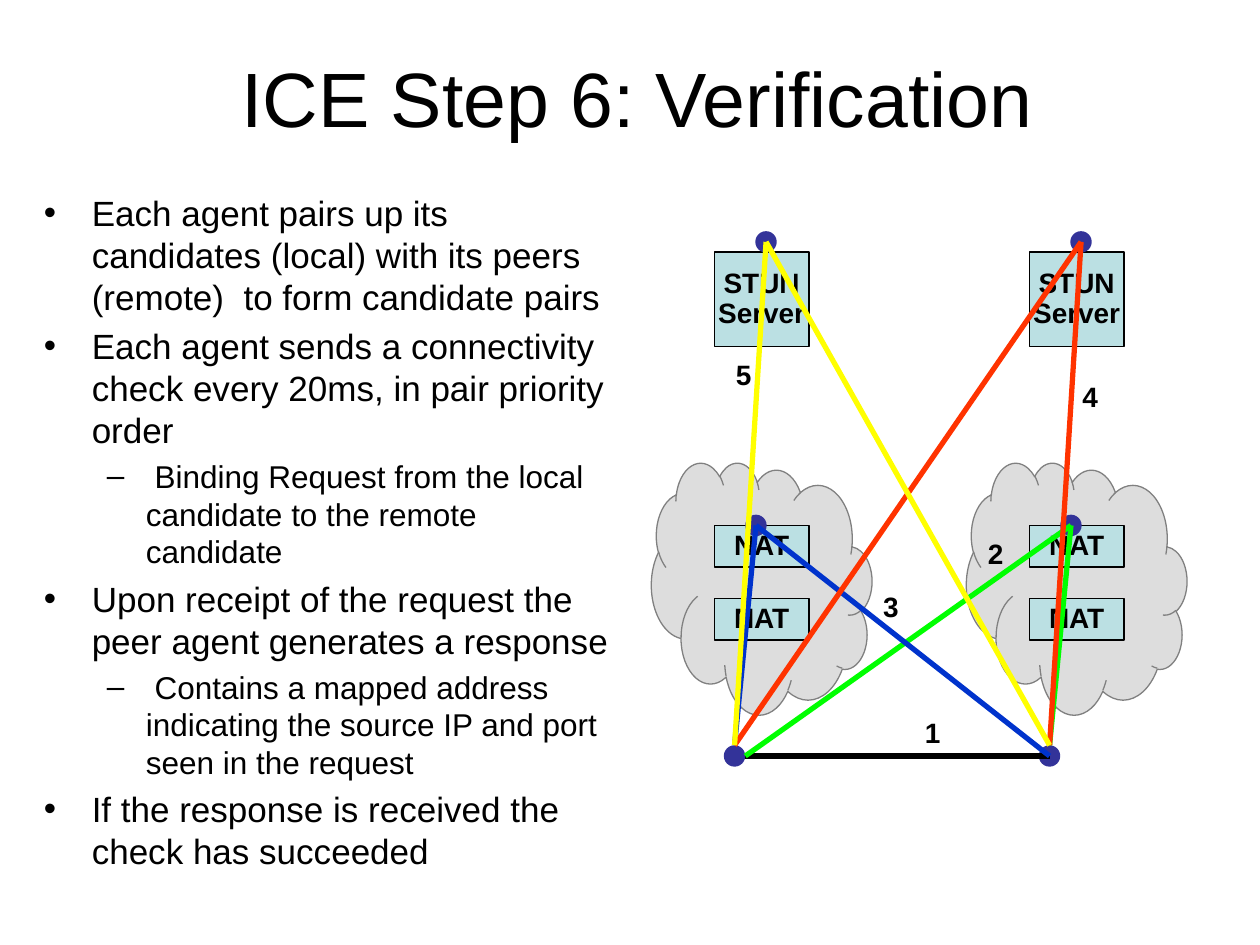
from dataclasses import dataclass

from lxml import etree
from pptx import Presentation
from pptx.dml.color import RGBColor
from pptx.enum.shapes import MSO_CONNECTOR, MSO_SHAPE
from pptx.enum.text import MSO_ANCHOR, MSO_AUTO_SIZE, PP_ALIGN
from pptx.oxml.ns import qn
from pptx.util import Inches, Pt

RECT, OVAL, CLOUD = MSO_SHAPE.RECTANGLE, MSO_SHAPE.OVAL, MSO_SHAPE.CLOUD
STRAIGHT = MSO_CONNECTOR.STRAIGHT
LEFT, CENTER = PP_ALIGN.LEFT, PP_ALIGN.CENTER
TOP, MIDDLE = MSO_ANCHOR.TOP, MSO_ANCHOR.MIDDLE
GROW = MSO_AUTO_SIZE.SHAPE_TO_FIT_TEXT
TITLE_ONLY = 5


@dataclass(frozen=True)
class Theme:
    """Colours, fonts and sizes of the slide."""
    font: str = "Arial"
    text: str = "000000"
    box: str = "BBE0E3"
    cloud: str = "DDDDDD"
    cloud_line: str = "808080"
    port: str = "333399"
    direct: str = "000000"
    left_nat: str = "0033CC"
    right_nat: str = "00FF00"
    left_relay: str = "FFFF00"
    right_relay: str = "FF3300"
    title_size: int = 44
    body_sizes: tuple = (20, 18)
    label_size: int = 16
    outline: float = 0.75
    path_width: int = 3


THEME = Theme()

TITLE = "ICE Step 6: Verification"
POINTS = [
    (0, "Each agent pairs up its candidates (local) with its peers (remote)  to form candidate pairs"),
    (0, "Each agent sends a connectivity check every 20ms, in pair priority order"),
    (1, " Binding Request from the local candidate to the remote candidate"),
    (0, "Upon receipt of the request the peer agent generates a response"),
    (1, " Contains a mapped address indicating the source IP and port seen in the request"),
    (0, "If the response is received the check has succeeded"),
]
BULLETS = (("•", 0.38, -0.38), ("–", 0.81, -0.31))
BOXES = ((0.17, 0.75, ("STUN", "Server")), (2.34, 0.33, ("NAT",)), (2.92, 0.33, ("NAT",)))
PORTS = {"host": (0.66, 4.17), "nat": (0.83, 2.34), "stun": (0.91, 0.09)}
PORT_SIZE = 0.17
AGENT_STEP = 2.5
LABELS = (("1", 2.08, 3.84), ("2", 2.58, 2.42), ("3", 1.75, 2.84), ("4", 3.33, 1.17), ("5", 0.58, 1.0))


def inches(*values):
    """Turn numbers into lengths."""
    return [Inches(v) for v in values]


def rgb(color):
    """Turn a hex string into a colour."""
    return RGBColor.from_string(color)


def add_run(p, text, size, bold=False):
    """Add one formatted run to a paragraph."""
    r = p.add_run()
    r.text = text
    r.font.name, r.font.size, r.font.bold = THEME.font, Pt(size), bold
    r.font.color.rgb = rgb(THEME.text)


def add_shape(shapes, kind, box, fill, line=None):
    """Add a flat preset shape."""
    sp = shapes.add_shape(kind, *inches(*box))
    sp.shadow.inherit = False
    sp.fill.solid()
    sp.fill.fore_color.rgb = rgb(fill)
    if line:
        sp.line.color.rgb = rgb(line)
        sp.line.width = Pt(THEME.outline)
    else:
        sp.line.fill.background()
    return sp


def write_label(sp, lines, align, anchor):
    """Write bold unwrapped lines into a shape."""
    tf = sp.text_frame
    tf.word_wrap = False
    tf.vertical_anchor = anchor
    tf.margin_left = tf.margin_right = Inches(0.09)
    tf.margin_top = tf.margin_bottom = Inches(0.04)
    for i, text in enumerate(lines):
        p = tf.add_paragraph() if i else tf.paragraphs[0]
        p.alignment, p.line_spacing = align, 0.9
        add_run(p, text, THEME.label_size, True)
    return tf


def add_title(s, box):
    """Place and format the title."""
    sp = s.shapes.title
    sp.left, sp.top, sp.width, sp.height = inches(*box)
    tf = sp.text_frame
    tf.word_wrap, tf.vertical_anchor = True, MIDDLE
    p = tf.paragraphs[0]
    p.alignment = CENTER
    add_run(p, TITLE, THEME.title_size)


def add_points(s, box):
    """Place the two-level bulleted list."""
    tf = s.shapes.add_textbox(*inches(*box)).text_frame
    tf.word_wrap = True
    for i, (level, text) in enumerate(POINTS):
        p = tf.add_paragraph() if i else tf.paragraphs[0]
        char, margin, indent = BULLETS[level]
        size = THEME.body_sizes[level]
        p.level = level
        if i:
            p.space_before = Pt(size * 0.2)
        pPr = p._p.get_or_add_pPr()
        pPr.set("marL", str(Inches(margin)))
        pPr.set("indent", str(Inches(indent)))
        etree.SubElement(pPr, qn("a:buFont")).set("typeface", THEME.font)
        etree.SubElement(pPr, qn("a:buChar")).set("char", char)
        add_run(p, text, size)


def add_agent(s, x, y):
    """Draw one agent's network and return the points its paths use."""
    shapes = s.shapes.add_group_shape().shapes
    cloud = add_shape(shapes, CLOUD, (x, y + 1.84, 1.75, 2), THEME.cloud, THEME.cloud_line)
    cloud.element.spPr.xfrm.set("flipH", "1")
    for dy, height, lines in BOXES:
        sp = add_shape(shapes, RECT, (x + 0.5, y + dy, 0.75, height), THEME.box, THEME.text)
        write_label(sp, lines, CENTER, MIDDLE)
    half = PORT_SIZE / 2
    points = {}
    for name, (dx, dy) in PORTS.items():
        cx, cy = points[name] = (x + dx, y + dy)
        add_shape(shapes, OVAL, (cx - half, cy - half, PORT_SIZE, PORT_SIZE), THEME.port)
    hx, hy = points["host"]
    points["host_top"] = (hx, hy - half)
    points["host_right"] = (hx + half, hy)
    return points


def add_path(s, start, end, color):
    """Draw one candidate path."""
    line = s.shapes.add_connector(STRAIGHT, *inches(*start, *end))
    line.line.color.rgb = rgb(color)
    line.line.width = Pt(THEME.path_width)
    etree.SubElement(line.element.spPr, qn("a:effectLst"))


def add_diagram(s, x, y):
    """Draw both agents, the paths between them and the path numbers."""
    a, b = (add_agent(s, x + i * AGENT_STEP, y) for i in range(2))
    for start, end, color in (
        (a["host_right"], b["host"], THEME.direct),
        (a["host_right"], b["nat"], THEME.right_nat),
        (a["nat"], b["host"], THEME.left_nat),
        (a["nat"], a["host_top"], THEME.left_nat),
        (b["nat"], b["host_top"], THEME.right_nat),
        (a["host_top"], b["stun"], THEME.right_relay),
        (b["host_top"], b["stun"], THEME.right_relay),
        (a["stun"], b["host_top"], THEME.left_relay),
        (a["stun"], a["host_top"], THEME.left_relay),
    ):
        add_path(s, start, end, color)
    for text, dx, dy in LABELS:
        sp = s.shapes.add_textbox(*inches(x + dx, y + dy, 0.3, 0.33))
        write_label(sp, [text], LEFT, TOP).auto_size = GROW


def main():
    """Build and save the slide."""
    prs = Presentation()
    prs.slide_width, prs.slide_height = inches(10, 7.5)
    s = prs.slides.add_slide(prs.slide_layouts[TITLE_ONLY])
    add_title(s, (0.56, 0.48, 9, 0.58))
    add_points(s, (0.25, 1.47, 4.75, 5.5))
    add_diagram(s, 5.17, 1.83)
    prs.save("out.pptx")


if __name__ == "__main__":
    main()
